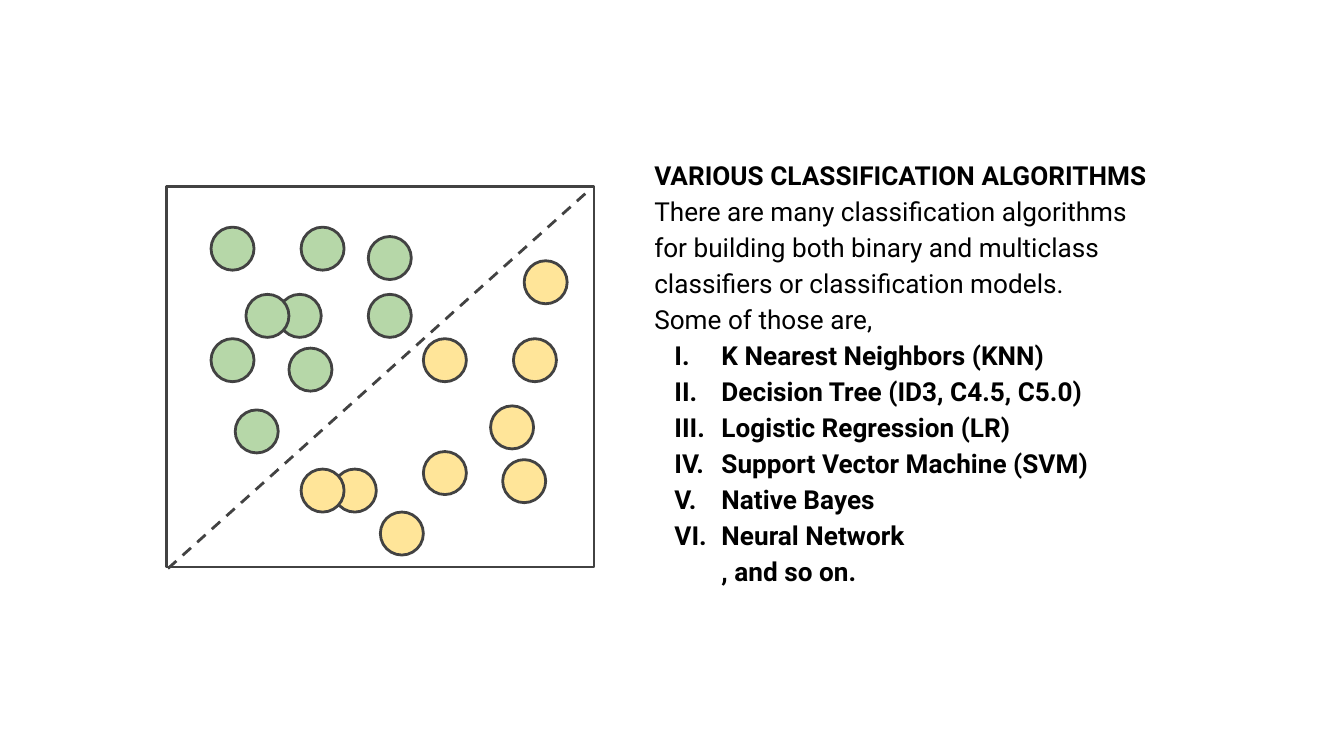
"""Build a slide on classification algorithms with a two-class scatter sketch."""
from lxml import etree
from pptx import Presentation
from pptx import util as u
from pptx.dml.color import RGBColor
from pptx.enum import dml, shapes, text
from pptx.oxml.ns import qn

COLORS = {"ink": "000000", "outline": "424242", "green": "B6D7A8", "yellow": "FFE599"}
DOT = 0.32
DOTS = {
    "green": [(1.57, 1.69), (1.57, 2.52), (2.24, 1.69), (2.07, 2.19), (1.83, 2.19),
              (2.74, 1.76), (2.15, 2.59), (2.74, 2.19), (1.75, 3.05)],
    "yellow": [(3.15, 2.52), (3.15, 3.36), (3.82, 2.52), (3.65, 3.02), (2.48, 3.49),
               (3.9, 1.94), (3.74, 3.42), (2.24, 3.49), (2.83, 3.81)],
}
PARAGRAPHS = [
    ("VARIOUS CLASSIFICATION ALGORITHMS", True, None),
    ("There are many classification algorithms for building both binary and "
     "multiclass classifiers or classification models.", False, None),
    ("Some of those are,", False, None),
    ("K Nearest Neighbors (KNN)", True, -0.35),
    ("Decision Tree (ID3, C4.5, C5.0)", True, -0.35),
    ("Logistic Regression (LR)", True, -0.35),
    ("Support Vector Machine (SVM)", True, -0.35),
    ("Native Bayes", True, -0.35),
    ("Neural Network", True, -0.35),
    (", and so on.", True, 0),
]


def draw(line):
    line.color.rgb = RGBColor.from_string(COLORS["outline"])
    line.width = u.Pt(1.5)


def add_outlined(kind, left, top, width, height, fill=None):
    outlined = slide.shapes.add_shape(kind, *map(u.Inches, (left, top, width, height)))
    outlined.shadow.inherit = False
    if fill:
        outlined.fill.solid()
        outlined.fill.fore_color.rgb = RGBColor.from_string(COLORS[fill])
    else:
        outlined.fill.background()
    draw(outlined.line)


deck = Presentation()
deck.slide_width, deck.slide_height = u.Inches(10), u.Inches(10 * 9 / 16)
slide = deck.slides.add_slide(deck.slide_layouts[6])

algorithms = slide.shapes.add_textbox(*map(u.Inches, (4.77, 1.05, 4, 3.69))).text_frame
frame_format = {"word_wrap": True, "vertical_anchor": text.MSO_ANCHOR.TOP,
                "auto_size": text.MSO_AUTO_SIZE.SHAPE_TO_FIT_TEXT}
frame_format.update({f"margin_{side}": u.Inches(0.1)
                     for side in ("left", "top", "right", "bottom")})
for name, value in frame_format.items():
    setattr(algorithms, name, value)

for index, (wording, bold, indent) in enumerate(PARAGRAPHS):
    paragraph = algorithms.add_paragraph() if index else algorithms.paragraphs[0]
    paragraph.line_spacing = 1.15
    run = paragraph.add_run()
    run.text = wording
    for name, value in {"name": "Roboto", "size": u.Pt(14), "bold": bold}.items():
        setattr(run.font, name, value)
    run.font.color.rgb = RGBColor.from_string(COLORS["ink"])
    if indent is not None:
        properties = paragraph._p.get_or_add_pPr()
        properties.set("marL", str(u.Inches(0.5)))
        properties.set("indent", str(u.Inches(indent)))
        if indent:
            bullet_color = etree.SubElement(properties, qn("a:buClr"))
            etree.SubElement(bullet_color, qn("a:srgbClr"), val=COLORS["ink"])
            etree.SubElement(properties, qn("a:buFont"), typeface="Roboto")
            etree.SubElement(properties, qn("a:buAutoNum"), type="romanUcPeriod")

add_outlined(shapes.MSO_SHAPE.RECTANGLE, 1.24, 1.39, 3.18, 2.83)

boundary = slide.shapes.add_connector(
    shapes.MSO_CONNECTOR.STRAIGHT, *map(u.Inches, (1.25, 4.23, 4.4, 1.4)))
draw(boundary.line)
boundary.line.dash_style = dml.MSO_LINE.DASH
etree.SubElement(boundary._element.spPr, qn("a:effectLst"))

for fill, positions in DOTS.items():
    for left, top in positions:
        add_outlined(shapes.MSO_SHAPE.OVAL, left, top, DOT, DOT, fill)

deck.save("out.pptx")
